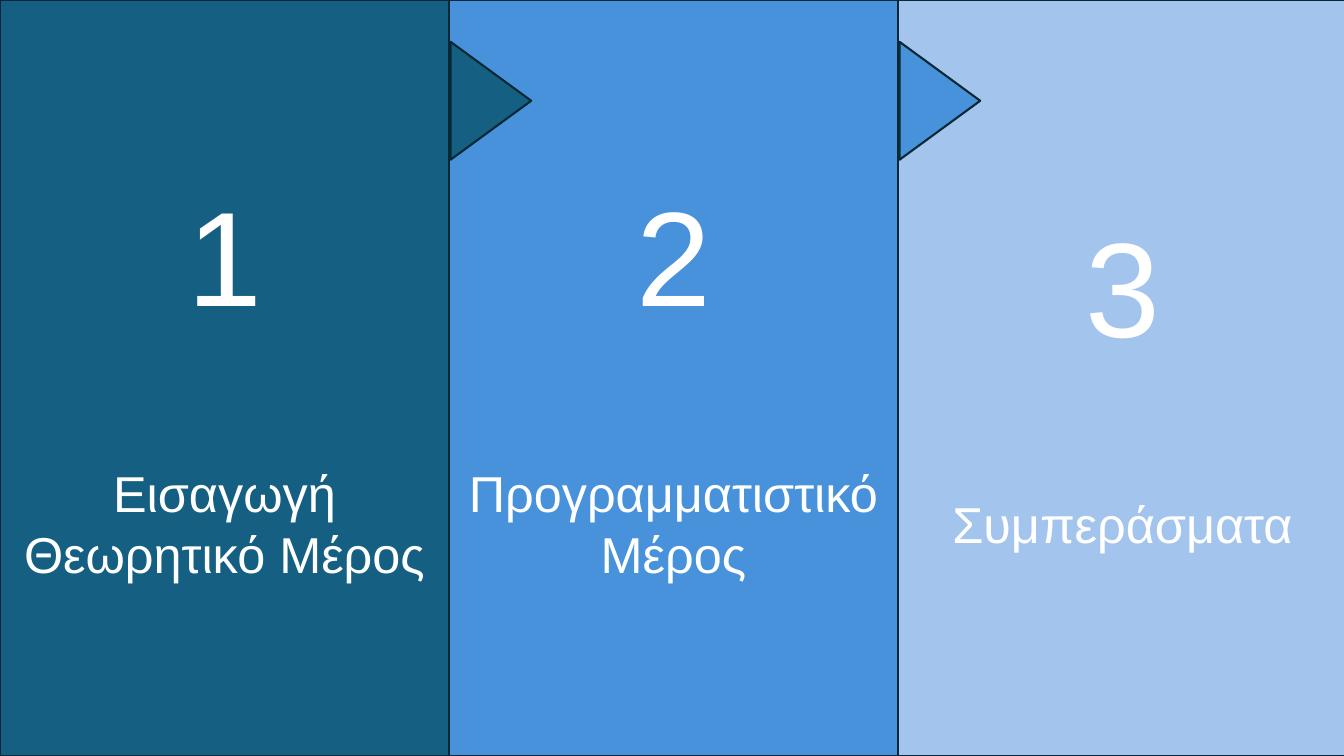
from dataclasses import dataclass

from pptx import Presentation
from pptx.dml.color import RGBColor
from pptx.enum.shapes import MSO_SHAPE as Shape
from pptx.enum.text import MSO_ANCHOR as Anchor, PP_ALIGN as Align
from pptx.shapes.autoshape import Shape as AutoShape
from pptx.shapes.group import GroupShape
from pptx.util import Inches, Pt

PANEL_W = 13.36 / 3
PANEL_H = 7.5
ARROW_W, ARROW_H = 1.17, 0.8
ARROW_TOP, ARROW_INSET = 0.6, 0.17
OUTLINE = "082836"
TEXT_COLOR = "FFFFFF"


@dataclass
class Panel:
    number: int
    title: str
    fill: str
    arrow: bool = True


PANELS = [
    Panel(1, "Εισαγωγή Θεωρητικό Μέρος", "156082"),
    Panel(2, "Προγραμματιστικό Μέρος", "4892DC"),
    Panel(3, "Συμπεράσματα", "A3C5ED", arrow=False),
]


def rgb(value: str) -> RGBColor:
    return RGBColor.from_string(value)


def add_block(group: GroupShape, kind: Shape, left: float, top: float,
              width: float, height: float, fill: str) -> AutoShape:
    sp = group.shapes.add_shape(
        kind, Inches(left), Inches(top), Inches(width), Inches(height))
    sp.shadow.inherit = False
    sp.fill.solid()
    sp.fill.fore_color.rgb = rgb(fill)
    sp.line.color.rgb = rgb(OUTLINE)
    sp.line.width = Pt(1.5)
    return sp


def write_text(sp: AutoShape, panel: Panel) -> None:
    tf = sp.text_frame
    tf.word_wrap = True
    tf.vertical_anchor = Anchor.MIDDLE
    tf.text = f"{panel.number}\n{panel.title}"
    for p, size, gap in zip(tf.paragraphs, (96, 36), (0, 92)):
        p.alignment = Align.CENTER
        p.space_before = Pt(gap)
        r = p.runs[0]
        for name, value in {"name": "Arial", "size": Pt(size)}.items():
            setattr(r.font, name, value)
        r.font.color.rgb = rgb(TEXT_COLOR)


def draw_panel(slide, panel: Panel) -> None:
    group = slide.shapes.add_group_shape()
    right = panel.number * PANEL_W
    sp = add_block(group, Shape.RECTANGLE, right - PANEL_W, 0,
                   PANEL_W, PANEL_H, panel.fill)
    write_text(sp, panel)
    if panel.arrow:
        arrow = add_block(group, Shape.ISOSCELES_TRIANGLE, right - ARROW_INSET,
                          ARROW_TOP, ARROW_W, ARROW_H, panel.fill)
        arrow.rotation = 90


def main() -> None:
    prs = Presentation()
    prs.slide_width, prs.slide_height = Inches(13.33), Inches(7.5)
    slide = prs.slides.add_slide(prs.slide_layouts[6])
    for panel in reversed(PANELS):
        draw_panel(slide, panel)
    prs.save("out.pptx")


if __name__ == "__main__":
    main()
